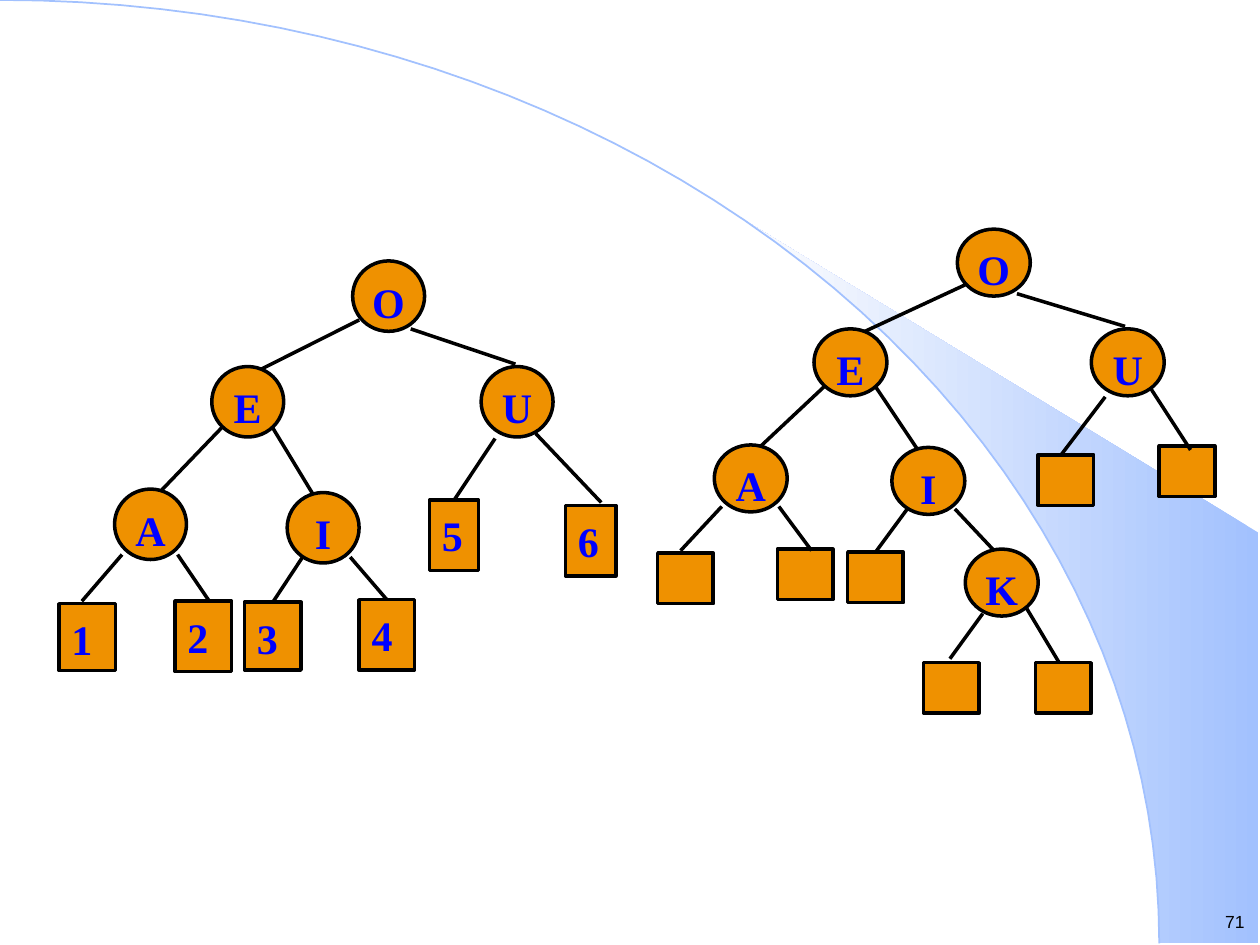
import math
from dataclasses import dataclass

from lxml import etree
from pptx import Presentation
from pptx import util as u
from pptx.dml.color import RGBColor
from pptx.enum import shapes, text
from pptx.oxml.ns import qn

ORANGE = RGBColor(0xEF, 0x91, 0x00)
BLUE = RGBColor(0x00, 0x00, 0xFF)
BLACK = RGBColor(0x00, 0x00, 0x00)
SKY = RGBColor(0xA2, 0xC1, 0xFE)
NEAR_WHITE = RGBColor(0xFE, 0xFE, 0xFE)

LETTER = dict(name="Times New Roman", size=u.Pt(24), bold=True)
NUMBER = dict(name="Arial", size=u.Pt(10))
ARC_WIDTH, ARC_HEIGHT = 23.37, 19.02
JOIN_GAP = 0.08  # a line ending this near a leaf's top centre is joined to it


# All lengths below are in centimetres
@dataclass
class Node:
    label: str
    x: float
    y: float


@dataclass
class Leaf:
    x: float
    y: float
    w: float = 1.12
    h: float = 1.02
    label: str = ""


@dataclass
class Edge:
    x1: float
    y1: float
    x2: float
    y2: float


@dataclass
class Tree:
    node_size: tuple[float, float]
    nodes: list[Node]
    leaves: list[Leaf]
    edges: list[Edge]


NUMBERED_TREE = Tree(
    (1.45, 1.42),
    [Node("O", 7.11, 5.26), Node("E", 4.27, 7.39), Node("U", 9.7, 7.39),
     Node("A", 2.31, 9.86), Node("I", 5.79, 9.93)],
    [Leaf(1.19, 12.17, 1.14, 1.35, "1"), Leaf(3.53, 12.12, 1.14, 1.42, "2"),
     Leaf(4.93, 12.14, 1.14, 1.37, "3"), Leaf(7.24, 12.09, 1.12, 1.42, "4"),
     Leaf(8.66, 10.08, 0.99, 1.42, "5"), Leaf(11.4, 10.19, 1.02, 1.42, "6")],
    [Edge(7.24, 6.45, 5.21, 7.47), Edge(8.28, 6.63, 10.39, 7.34),
     Edge(4.5, 8.59, 3.23, 9.91), Edge(5.44, 8.53, 6.38, 10.08),
     Edge(9.98, 8.84, 9.14, 10.08), Edge(10.8, 8.74, 12.12, 10.13),
     Edge(2.46, 11.18, 1.65, 12.12), Edge(3.58, 11.18, 4.22, 12.12),
     Edge(6.1, 11.23, 5.46, 12.19), Edge(7.06, 11.23, 7.82, 12.14)],
)

TREE_WITH_K = Tree(
    (1.47, 1.35),
    [Node("O", 19.3, 4.62), Node("E", 16.41, 6.63), Node("U", 22, 6.63),
     Node("A", 14.4, 8.97), Node("I", 17.98, 9.02), Node("K", 19.46, 11.07)],
    [Leaf(13.26, 11.15), Leaf(15.67, 11.07), Leaf(17.09, 11.13),
     Leaf(20.93, 9.17), Leaf(23.37, 8.99), Leaf(18.62, 13.36),
     Leaf(20.88, 13.36)],
    [Edge(19.46, 5.74, 17.37, 6.71), Edge(20.5, 5.92, 22.68, 6.58),
     Edge(16.64, 7.77, 15.34, 8.99), Edge(17.6, 7.72, 18.57, 9.17),
     Edge(22.28, 8, 21.39, 9.17), Edge(23.19, 7.82, 24, 9.07),
     Edge(14.55, 10.21, 13.72, 11.1), Edge(15.7, 10.21, 16.36, 11.1),
     Edge(18.29, 10.26, 17.63, 11.18), Edge(19.25, 10.26, 20.04, 11.1),
     Edge(19.81, 12.37, 19.15, 13.28), Edge(20.7, 12.27, 21.34, 13.34)],
)


def write(sp, label: str, align, color: RGBColor, font: dict,
          side: float, top: float) -> None:
    tf = sp.text_frame
    frame = dict(word_wrap=True, vertical_anchor=text.MSO_ANCHOR.TOP,
                 margin_left=u.Cm(side), margin_right=u.Cm(side),
                 margin_top=u.Cm(top), margin_bottom=u.Cm(0.03))
    for key, value in frame.items():
        setattr(tf, key, value)
    p = tf.paragraphs[0]
    p.alignment = align
    r = p.add_run()
    r.text = label
    for key, value in font.items():
        setattr(r.font, key, value)
    r.font.color.rgb = color


def add_box(group, kind, x: float, y: float, w: float, h: float):
    sp = group.shapes.add_shape(kind, u.Cm(x), u.Cm(y), u.Cm(w), u.Cm(h))
    sp.shadow.inherit = False
    sp.fill.solid()
    sp.fill.fore_color.rgb = ORANGE
    sp.line.color.rgb = BLACK
    sp.line.width = u.Pt(2)
    return sp


def add_edge(group, e: Edge, boxes: list) -> None:
    line = group.shapes.add_connector(
        shapes.MSO_CONNECTOR.STRAIGHT,
        u.Cm(e.x1), u.Cm(e.y1), u.Cm(e.x2), u.Cm(e.y2))
    line.line.color.rgb = BLACK
    line.line.width = u.Pt(2)
    etree.SubElement(line._element.spPr, qn("a:effectLst"))
    for leaf, sp in boxes:
        if math.dist((leaf.x + leaf.w / 2, leaf.y), (e.x2, e.y2)) < JOIN_GAP:
            line.end_connect(sp, 0)


def add_tree(s, tree: Tree) -> None:
    group = s.shapes.add_group_shape()
    boxes = []
    for leaf in tree.leaves:
        sp = add_box(group, shapes.MSO_SHAPE.RECTANGLE,
                     leaf.x, leaf.y, leaf.w, leaf.h)
        if leaf.label:
            write(sp, leaf.label, text.PP_ALIGN.LEFT, BLUE, LETTER, 0.25, 0.2)
        boxes.append((leaf, sp))
    for edge in tree.edges:
        add_edge(group, edge, boxes)
    for node in tree.nodes:
        sp = add_box(group, shapes.MSO_SHAPE.OVAL, node.x, node.y,
                     *tree.node_size)
        write(sp, node.label, text.PP_ALIGN.CENTER, BLUE, LETTER, 0.05, 0.1)


def add_outline(s, points: list[tuple[float, float]], close: bool):
    start, *rest = [(u.Cm(x), u.Cm(y)) for x, y in points]
    builder = s.shapes.build_freeform(*start)
    builder.add_line_segments(rest, close=close)
    sp = builder.convert_to_shape()
    sp.shadow.inherit = False
    return sp


def arc_points(first: int) -> list[tuple[float, float]]:
    angles = [math.radians(a) for a in range(first, 91, 2)]
    return [(ARC_WIDTH * math.sin(a), ARC_HEIGHT * (1 - math.cos(a)))
            for a in angles]


def add_backdrop(s) -> None:
    # Shaded beam to the right of the arc
    beam = add_outline(s, arc_points(40) + [(25.37, 19.02), (25.37, 10.74)],
                       True)
    beam.line.fill.background()
    beam.fill.gradient()
    beam.fill.gradient_angle = 180
    for stop, color in zip(beam.fill.gradient_stops, (SKY, NEAR_WHITE)):
        stop.color.rgb = color
    # Thin arc across the slide
    arc = add_outline(s, arc_points(0), False)
    arc.fill.background()
    arc.line.color.rgb = SKY
    arc.line.width = u.Pt(1)


def main() -> None:
    prs = Presentation()
    prs.slide_width, prs.slide_height = u.Cm(25.4), u.Cm(19.05)
    s = prs.slides.add_slide(prs.slide_layouts[6])
    add_backdrop(s)
    # Page number
    page = s.shapes.add_textbox(u.Cm(23.9), u.Cm(18.24), u.Cm(1.24), u.Cm(0.69))
    write(page, "71", text.PP_ALIGN.RIGHT, BLACK, NUMBER, 0.05, 0.13)
    # Trees
    for tree in (NUMBERED_TREE, TREE_WITH_K):
        add_tree(s, tree)
    prs.save("out.pptx")


if __name__ == "__main__":
    main()
